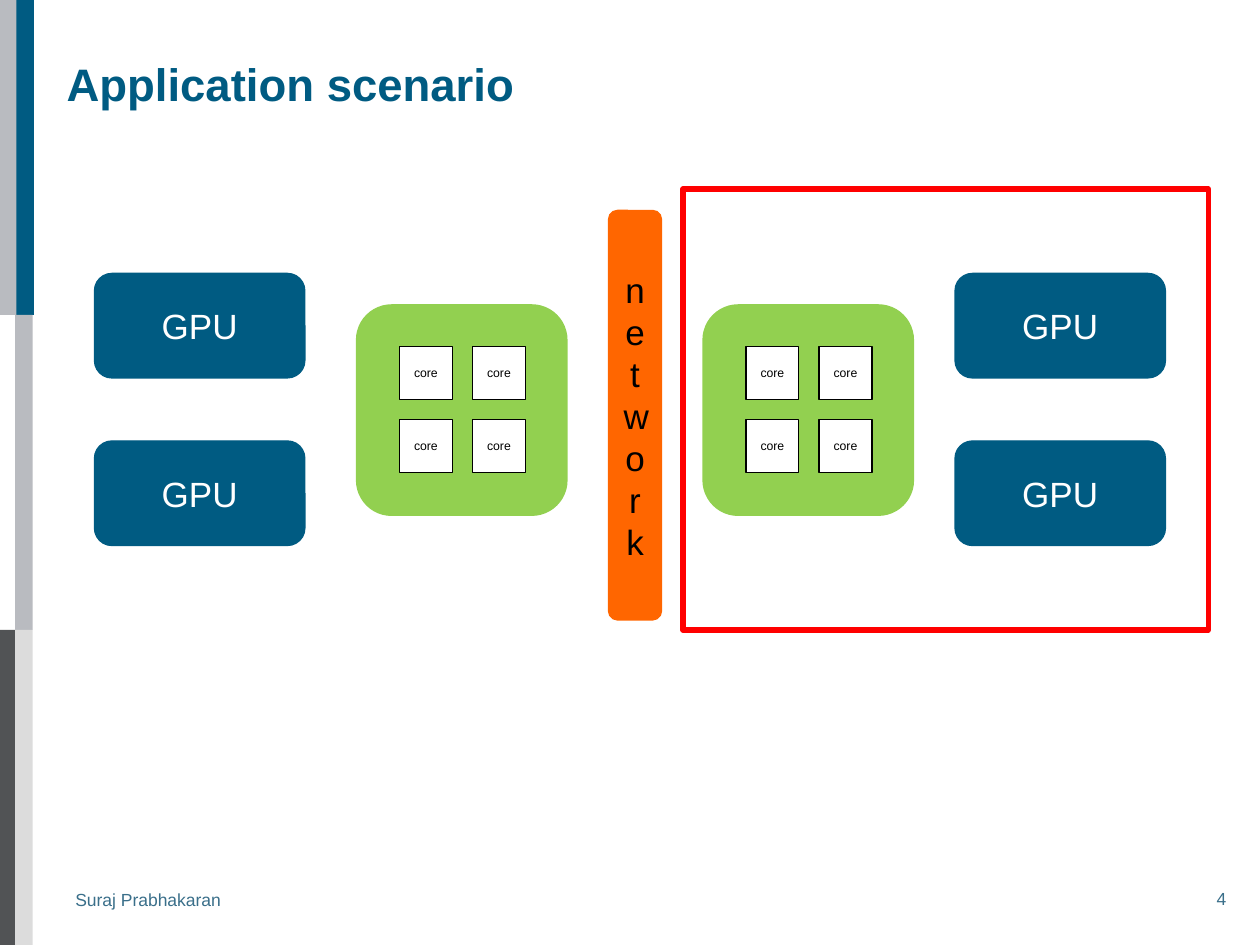
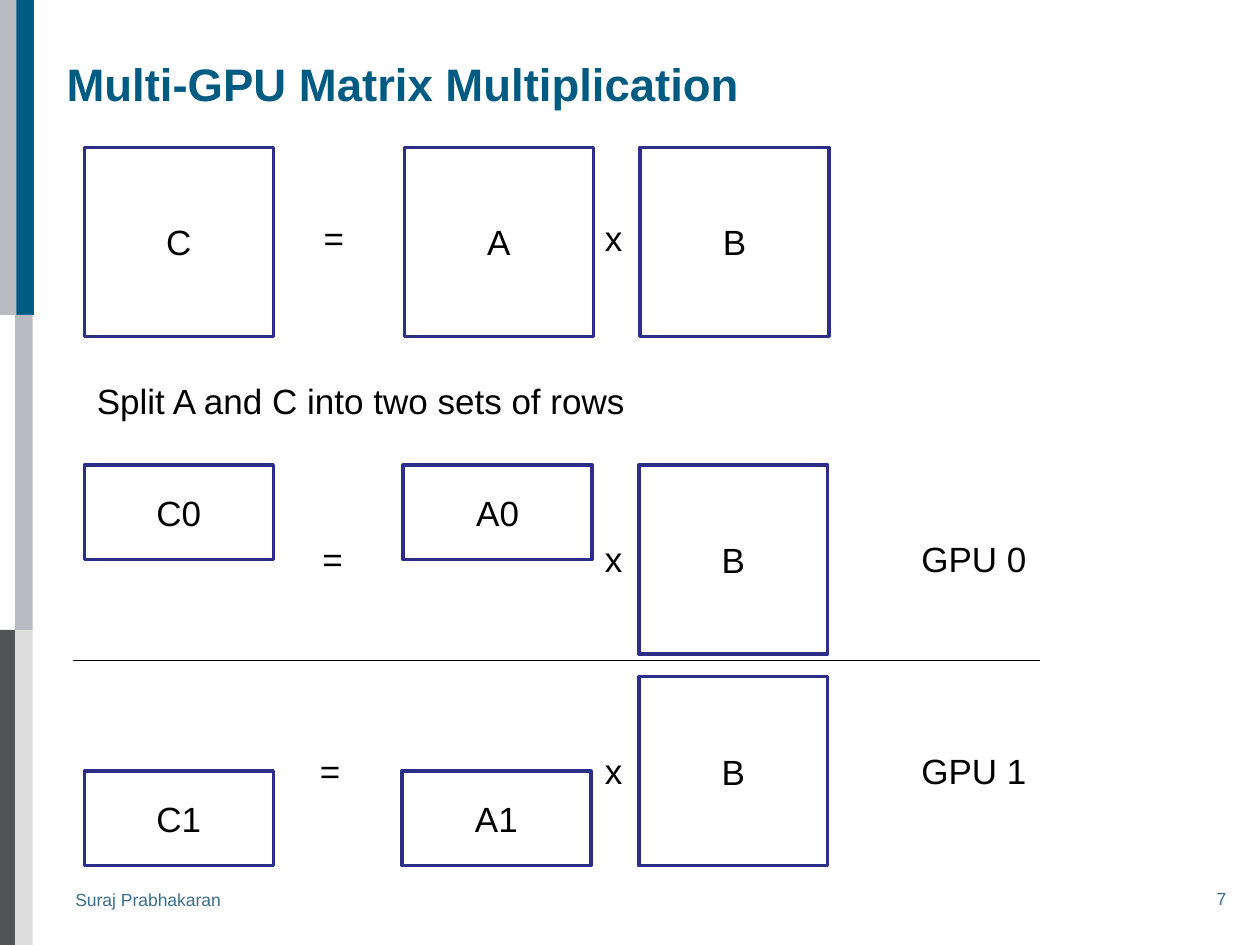
from lxml.etree import SubElement
from pptx import Presentation
from pptx.dml.color import RGBColor
from pptx.enum.shapes import MSO_CONNECTOR, MSO_SHAPE
from pptx.enum.text import MSO_ANCHOR, PP_ALIGN
from pptx.oxml.ns import qn
from pptx.util import Inches, Pt

TEAL = RGBColor(0x00, 0x5B, 0x82)
FOOTER_BLUE = RGBColor(0x3A, 0x6F, 0x8A)
SILVER = RGBColor(0xB9, 0xBB, 0xC0)
PALE_GREY = RGBColor(0xDC, 0xDC, 0xDC)
DARK_GREY = RGBColor(0x51, 0x53, 0x55)
ORANGE = RGBColor(0xFF, 0x66, 0x00)
GREEN = RGBColor(0x92, 0xD0, 0x50)
RED = RGBColor(0xFF, 0x00, 0x00)
NAVY = RGBColor(0x2D, 0x2D, 0x8A)
BLACK = RGBColor(0x00, 0x00, 0x00)
WHITE = RGBColor(0xFF, 0xFF, 0xFF)

FONT = "Arial"
BODY_SIZE = 20
AUTHOR = "Suraj Prabhakaran"
# left, top and colour of each side band
BAND_WIDTH, BAND_HEIGHT = 0.14, 2.5
BANDS = [
    (0, 0, SILVER),
    (0, 5, DARK_GREY),
    (0.13, 0, TEAL),
    (0.12, 2.5, SILVER),
    (0.12, 5, PALE_GREY),
]


class DeckBuilder:
    """Holds the shared style and the slide being filled."""

    def __init__(self):
        self.deck = Presentation()
        self.deck.slide_width = Inches(10)
        self.deck.slide_height = Inches(7.5)
        self.page = None

    def start_page(self, title, number):
        self.page = self.deck.slides.add_slide(self.deck.slide_layouts[6])
        for left, top, color in BANDS:
            self.block(left, top, BAND_WIDTH, BAND_HEIGHT, fill=color)
        self.label(AUTHOR, 0.5, 7.01, 7.5, 0.44, size=10, color=FOOTER_BLUE, wrap=True)
        self.label(str(number), 8.58, 7, 1.25, 0.27, size=10, color=FOOTER_BLUE,
                   align=PP_ALIGN.RIGHT, wrap=True)
        self.label(title, 0.43, 0.41, 7.4, 0.5, size=26, color=TEAL, bold=True,
                   anchor=MSO_ANCHOR.MIDDLE, wrap=True)

    def set_text(self, box, text, size, color, align, anchor, bold=False, wrap=True):
        frame = box.text_frame
        frame.text = text
        frame.word_wrap = wrap
        frame.vertical_anchor = anchor
        para = frame.paragraphs[0]
        para.alignment = align
        for span in para.runs:
            span.font.name = FONT
            span.font.size = Pt(size)
            span.font.bold = bold
            span.font.color.rgb = color

    def label(self, text, left, top, width, height, size=BODY_SIZE, color=BLACK,
              align=PP_ALIGN.LEFT, anchor=MSO_ANCHOR.TOP, bold=False, wrap=False):
        box = self.page.shapes.add_textbox(
            Inches(left), Inches(top), Inches(width), Inches(height))
        self.set_text(box, text, size, color, align, anchor, bold, wrap)

    def block(self, left, top, width, height, text="", fill=None, line=None,
              weight=0.75, size=BODY_SIZE, color=BLACK, kind=MSO_SHAPE.RECTANGLE):
        """Draw a preset shape; without a fill or line colour that part is absent."""
        shape = self.page.shapes.add_shape(
            kind, Inches(left), Inches(top), Inches(width), Inches(height))
        shape.shadow.inherit = False
        if fill is None:
            shape.fill.background()
        else:
            shape.fill.solid()
            shape.fill.fore_color.rgb = fill
        if line is None:
            shape.line.fill.background()
        else:
            shape.line.color.rgb = line
            shape.line.width = Pt(weight)
        if text:
            self.set_text(shape, text, size, color, PP_ALIGN.CENTER, MSO_ANCHOR.MIDDLE)

    def rounded(self, left, top, width, height, fill, text="", color=BLACK):
        self.block(left, top, width, height, text, fill, line=fill, color=color,
                   kind=MSO_SHAPE.ROUNDED_RECTANGLE)

    def rule(self, left, right, top):
        line = self.page.shapes.add_connector(
            MSO_CONNECTOR.STRAIGHT, Inches(left), Inches(top), Inches(right), Inches(top))
        line.line.color.rgb = BLACK
        line.line.width = Pt(0.75)
        SubElement(line._element.spPr, qn("a:effectLst"))

    def gpu_pair(self, left):
        for top in (2.17, 3.5):
            self.rounded(left, top, 1.67, 0.83, TEAL, "GPU", WHITE)

    def processor(self, left, top):
        """Draw a processor with a two by two grid of cores."""
        self.rounded(left, top, 1.67, 1.67, GREEN)
        for row in range(2):
            for column in range(2):
                self.block(left + 0.34 + 0.58 * column, top + 0.33 + 0.58 * row,
                           0.42, 0.42, "core", WHITE, BLACK, size=7)

    def matrix(self, name, left, top, height=1.5):
        self.block(left, top, 1.5, height, name, WHITE, NAVY, weight=2)

    def product(self, result, factor, top, result_top, height,
                factor_left, b_left, equals_left, sign_top, device=""):
        """Draw one line 'result = factor x B', with the device that computes it."""
        self.matrix(result, 0.67, result_top, height)
        self.matrix(factor, factor_left, result_top, height)
        self.matrix("B", b_left, top)
        for text, left, width in (("=", equals_left, 0.36), ("x", 4.7, 0.34),
                                  (device, 7.21, 1.04)):
            if text:
                self.label(text, left, sign_top, width, 0.44, align=PP_ALIGN.CENTER)


def add_scenario(builder):
    builder.start_page("Application scenario", 4)
    builder.rounded(4.83, 1.67, 0.42, 3.25, ORANGE, "network")
    for gpu_left, processor_left in ((0.75, 2.83), (7.58, 5.58)):
        builder.gpu_pair(gpu_left)
        builder.processor(processor_left, 2.42)
    builder.block(5.42, 1.5, 4.17, 3.5, line=RED, weight=3)


def add_multiplication(builder):
    builder.start_page("Multi-GPU Matrix Multiplication", 7)
    builder.product("C", "A", top=1.17, result_top=1.17, height=1.5, factor_left=3.21,
                    b_left=5.08, equals_left=2.47, sign_top=1.67)
    builder.label("Split A and C into two sets of rows", 0.67, 2.96, 4.42, 0.44)
    builder.product("C0", "A0", top=3.69, result_top=3.69, height=0.75, factor_left=3.2,
                    b_left=5.07, equals_left=2.46, sign_top=4.22, device="GPU 0")
    builder.rule(0.58, 8.25, 5.24)
    builder.product("C1", "A1", top=5.37, result_top=6.12, height=0.75, factor_left=3.19,
                    b_left=5.07, equals_left=2.44, sign_top=5.9, device="GPU 1")


def main():
    builder = DeckBuilder()
    add_scenario(builder)
    add_multiplication(builder)
    builder.deck.save("out.pptx")


if __name__ == "__main__":
    main()
